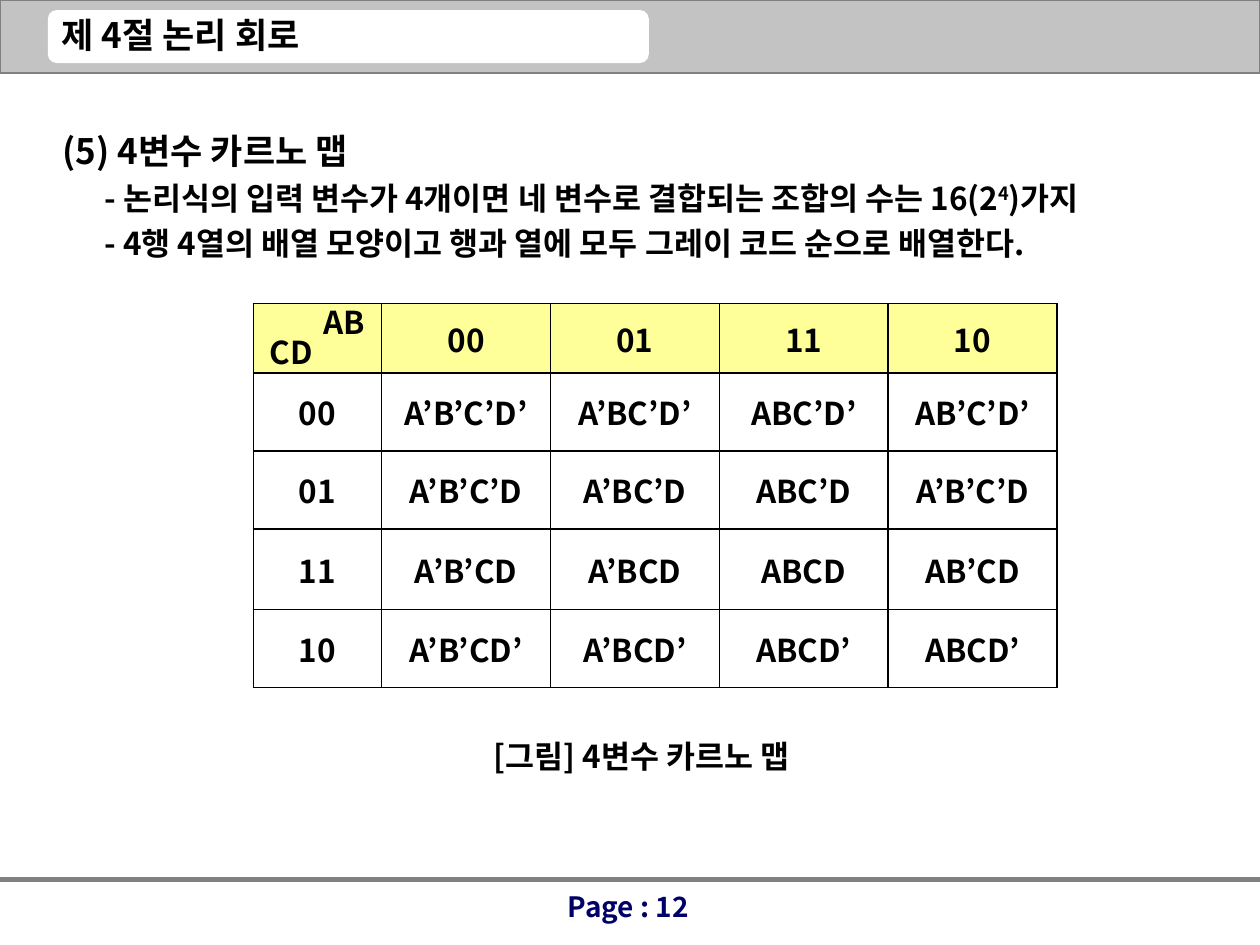
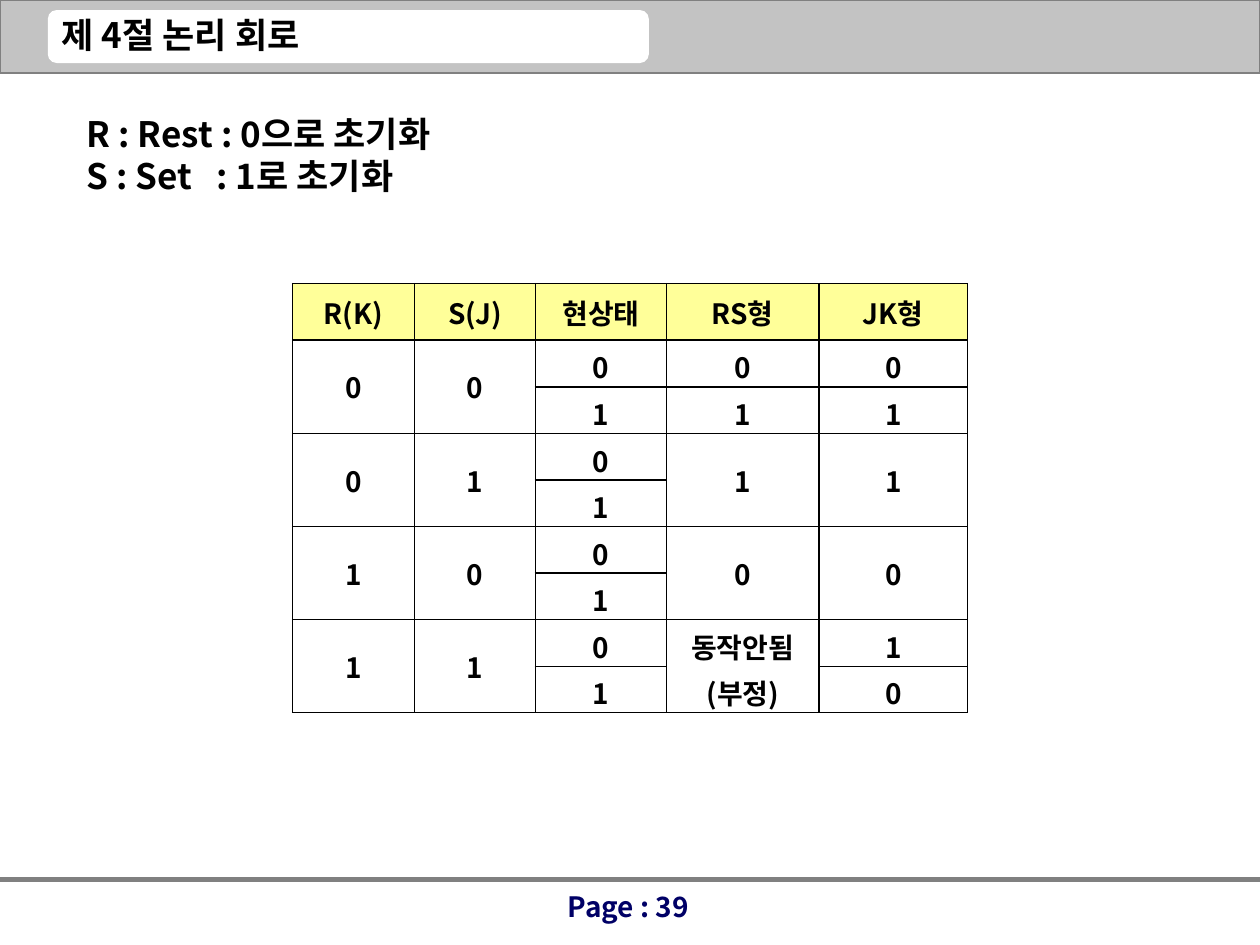
from dataclasses import dataclass

from lxml.etree import SubElement as sub_element
from pptx import Presentation
from pptx.dml.color import RGBColor as Rgb
from pptx.enum.shapes import MSO_CONNECTOR as Connector, MSO_SHAPE as Shape
from pptx.enum.text import MSO_ANCHOR as Anchor, PP_ALIGN as Align
from pptx.oxml.ns import qn
from pptx.util import Inches, Pt


@dataclass(frozen=True)
class Theme:
    font: str = "Noto Sans CJK KR"
    ink: str = "000000"
    page_ink: str = "000066"
    band: str = "C3C3C3"
    rule: str = "808080"
    paper: str = "FFFFFF"
    header: str = "FFFF99"
    heading: int = 20
    body: int = 18
    small: int = 16
    outer_border: float = 0.75
    inner_border: float = 1
    rule_width: float = 3


THEME = Theme()
COVERED = None


def color(code):
    return Rgb.from_string(code)


def add_span(para, text, size, ink=THEME.ink, baseline=0):
    span = para.add_run()
    span.text = text
    span.font.size = Pt(size)
    span.font.bold = True
    span.font.color.rgb = color(ink)
    span.font.name = THEME.font
    properties = span._r.get_or_add_rPr()
    sub_element(properties, qn("a:ea"), typeface=THEME.font)
    if baseline:
        properties.set("baseline", str(baseline * 1000))


def add_box(page, left, top, width, height, wrap=False):
    box = page.shapes.add_textbox(*map(Inches, (left, top, width, height)))
    box.text_frame.word_wrap = wrap
    return box.text_frame


def add_label(page, text, left, top, width, height, size=THEME.body, wrap=False):
    frame = add_box(page, left, top, width, height, wrap)
    add_span(frame.paragraphs[0], text, size)


def next_para(frame, index):
    return frame.add_paragraph() if index else frame.paragraphs[0]


def add_panel(page, kind, left, top, width, height, fill, line=None):
    panel = page.shapes.add_shape(kind, *map(Inches, (left, top, width, height)))
    panel.shadow.inherit = False
    panel.fill.solid()
    panel.fill.fore_color.rgb = color(fill)
    if line:
        panel.line.color.rgb = color(line)
        panel.line.width = Pt(0.75)
    else:
        panel.line.fill.background()


def add_rule(page, top):
    rule = page.shapes.add_connector(
        Connector.STRAIGHT, 0, Inches(top), Inches(10), Inches(top))
    rule.line.color.rgb = color(THEME.rule)
    rule.line.width = Pt(THEME.rule_width)
    sub_element(rule._element.spPr, qn("a:effectLst"))


def add_page(deck, number):
    page = deck.slides.add_slide(deck.slide_layouts[6])
    add_panel(page, Shape.RECTANGLE, 0, 0, 10, 0.58, THEME.band, THEME.rule)
    add_rule(page, 6.98)
    add_panel(page, Shape.ROUNDED_RECTANGLE, 0.38, 0.08, 4.77, 0.42, THEME.paper)
    add_label(page, "제 4절 논리 회로", 0.39, 0.06, 2.26, 0.43, THEME.heading)
    footer = add_box(page, 3.82, 7.01, 2.33, 0.52, wrap=True).paragraphs[0]
    footer.alignment = Align.CENTER
    add_span(footer, f"Page : {number}", THEME.small, THEME.page_ink)
    return page


def set_borders(cell, outer_sides):
    properties = cell._tc.get_or_add_tcPr()
    for index, side in enumerate("LRTB"):
        width = THEME.outer_border if side in outer_sides else THEME.inner_border
        border = sub_element(properties, qn(f"a:ln{side}"), w=str(Pt(width)))
        fill = sub_element(border, qn("a:solidFill"))
        sub_element(fill, qn("a:srgbClr"), val=THEME.ink)
        properties.remove(border)
        properties.insert(index, border)


def fill_cell(cell, text, size, is_header):
    cell.vertical_anchor = Anchor.MIDDLE
    if is_header:
        cell.fill.solid()
        cell.fill.fore_color.rgb = color(THEME.header)
    else:
        cell.fill.background()
    for index, line in enumerate(text.splitlines()):
        para = next_para(cell.text_frame, index)
        para.alignment = Align.CENTER
        spacing = sub_element(para._p.get_or_add_pPr(), qn("a:spcBef"))
        sub_element(spacing, qn("a:spcPct"), val="20000")
        add_span(para, line, size)


def add_grid(page, left, top, widths, heights, rows, size):
    table = page.shapes.add_table(
        len(heights), len(widths), Inches(left), Inches(top),
        Inches(sum(widths)), Inches(sum(heights))).table
    table.first_row = table.horz_banding = False
    for column, width in zip(table.columns, widths):
        column.width = Inches(width)
    for row, height in zip(table.rows, heights):
        row.height = Inches(height)
    for r, texts in enumerate(rows):
        for c, text in enumerate(texts):
            if text is COVERED:
                continue
            cell = table.cell(r, c)
            last = r
            while last + 1 < len(rows) and rows[last + 1][c] is COVERED:
                last += 1
            if last > r:
                cell.merge(table.cell(last, c))
            fill_cell(cell, text, size, r == 0)
            edges = {"L": c == 0, "R": c == len(widths) - 1,
                     "T": r == 0, "B": last == len(rows) - 1}
            set_borders(cell, [side for side, outer in edges.items() if outer])


def add_outline(page):
    outline = [
        (0.13, THEME.heading, [("(5) 4변수 카르노 맵", 0)]),
        (0.46, THEME.body, [
            ("- 논리식의 입력 변수가 4개이면 네 변수로 결합되는 조합의 수는 16(2", 0),
            ("4", 30), (")가지", 0)]),
        (0.46, THEME.body, [
            ("- 4행 4열의 배열 모양이고 행과 열에 모두 그레이 코드 순으로 배열한다.", 0)]),
    ]
    frame = add_box(page, 0.27, 0.91, 9.37, 1.22, wrap=True)
    for index, (indent, size, spans) in enumerate(outline):
        para = next_para(frame, index)
        para.line_spacing = 1.2
        para._p.get_or_add_pPr().set("marL", str(Inches(indent)))
        for text, baseline in spans:
            add_span(para, text, size, baseline=baseline)


def add_input_legend(page):
    frame = add_box(page, 0.59, 0.84, 3.1, 0.77)
    for index, text in enumerate(["R : Rest : 0으로 초기화", "S : Set\t: 1로 초기화"]):
        para = next_para(frame, index)
        if "\t" in text:
            stops = sub_element(para._p.get_or_add_pPr(), qn("a:tabLst"))
            sub_element(stops, qn("a:tab"), pos=str(Inches(1.03)), algn="l")
        add_span(para, text, THEME.heading)


def build_karnaugh_page(deck):
    page = add_page(deck, 12)
    add_outline(page)
    rows = [
        ["", "00", "01", "11", "10"],
        ["00", "A’B’C’D’", "A’BC’D’", "ABC’D’", "AB’C’D’"],
        ["01", "A’B’C’D", "A’BC’D", "ABC’D", "A’B’C’D"],
        ["11", "A’B’CD", "A’BCD", "ABCD", "AB’CD"],
        ["10", "A’B’CD’", "A’BCD’", "ABCD’", "ABCD’"],
    ]
    add_grid(page, 2.01, 2.41, [1.02] + [1.34] * 4,
             [0.55, 0.62, 0.62, 0.64, 0.62], rows, THEME.body)
    add_label(page, "AB", 2.47, 2.36, 0.53, 0.4, wrap=True)
    add_label(page, "CD", 2.04, 2.59, 0.56, 0.4)
    add_label(page, "[그림] 4변수 카르노 맵", 3.82, 5.8, 2.79, 0.4)


def build_flip_flop_page(deck):
    page = add_page(deck, 39)
    rows = [
        ["R(K)", "S(J)", "현상태", "RS형", "JK형"],
        ["0", "0", "0", "0", "0"],
        [COVERED, COVERED, "1", "1", "1"],
        ["0", "1", "0", "1", "1"],
        [COVERED, COVERED, "1", COVERED, COVERED],
        ["1", "0", "0", "0", "0"],
        [COVERED, COVERED, "1", COVERED, COVERED],
        ["1", "1", "0", "동작안됨\n(부정)", "1"],
        [COVERED, COVERED, "1", COVERED, "0"],
    ]
    add_grid(page, 2.32, 2.25, [0.97, 0.96, 1.04, 1.21, 1.18],
             [0.45] + [0.37] * 8, rows, THEME.small)
    add_input_legend(page)


def main():
    deck = Presentation()
    deck.slide_width, deck.slide_height = Inches(10), Inches(7.5)
    build_karnaugh_page(deck)
    build_flip_flop_page(deck)
    deck.save("out.pptx")


if __name__ == "__main__":
    main()
